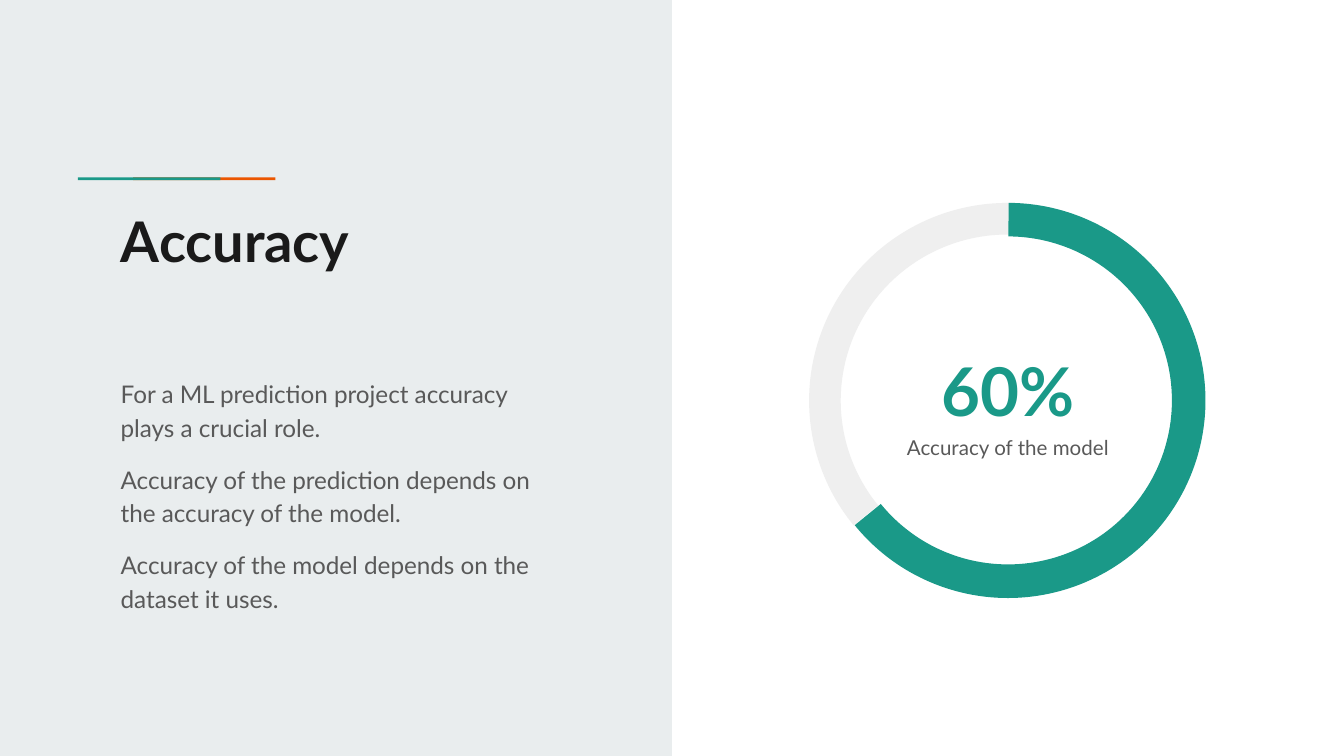
import pptx
import pptx.util
import pptx.dml.color
import pptx.enum.shapes
import pptx.enum.text

RGBColor = pptx.dml.color.RGBColor
MSO_SHAPE = pptx.enum.shapes.MSO_SHAPE
PP_ALIGN = pptx.enum.text.PP_ALIGN

PANEL_GREY = RGBColor(0xE9, 0xED, 0xEE)
TRACK_GREY = RGBColor(0xEF, 0xEF, 0xEF)
TEAL = RGBColor(0x1A, 0x99, 0x88)
ORANGE = RGBColor(0xEB, 0x56, 0x00)
INK = RGBColor(0x1A, 0x1A, 0x1A)
TEXT_GREY = RGBColor(0x59, 0x59, 0x59)

FONT = "Lato"
WIDTH = 10
HEIGHT = WIDTH * 9 / 16
MARGIN = 0.8
RING_LEFT, RING_TOP, RING_SIZE = 6.03, 1.51, 2.94
ACCENT_LEFT, ACCENT_STEP, ACCENT_WIDTH = 0.58, 0.41, 1.06

POINTS = [
    "For a ML prediction project accuracy plays a crucial role.",
    "Accuracy of the prediction depends on the accuracy of the model.",
    "Accuracy of the model depends on the dataset it uses.",
]


def inches(*lengths):
    return [pptx.util.Inches(length) for length in lengths]


def add_block(slide, kind, box, color):
    block = slide.shapes.add_shape(kind, *inches(*box))
    block.shadow.inherit = False
    block.fill.solid()
    block.fill.fore_color.rgb = color
    block.line.fill.background()
    return block


def add_arc(slide, box, color, adjustments, rotation=0):
    arc = add_block(slide, MSO_SHAPE.BLOCK_ARC, box, color)
    arc.rotation = rotation
    for index, value in enumerate(adjustments):
        arc.adjustments[index] = value


def write_text(holder, paragraphs, *, size, color, bold=False,
               align=PP_ALIGN.LEFT, line_spacing=1.15, gap=0):
    frame = holder.text_frame
    frame.word_wrap = True
    frame.auto_size = pptx.enum.text.MSO_AUTO_SIZE.NONE
    frame.vertical_anchor = pptx.enum.text.MSO_ANCHOR.TOP
    frame.margin_left = frame.margin_right = pptx.util.Inches(0.1)
    frame.margin_top = frame.margin_bottom = pptx.util.Inches(0.1)
    frame.text = "\n".join(paragraphs)
    for index, paragraph in enumerate(frame.paragraphs):
        paragraph.alignment = align
        paragraph.line_spacing = line_spacing
        paragraph.space_before = pptx.util.Pt(gap if index else 0)
        paragraph.font.name = FONT
        paragraph.font.size = pptx.util.Pt(size)
        paragraph.font.bold = bold
        paragraph.font.color.rgb = color


def add_text(slide, box, paragraphs, **text_format):
    write_text(slide.shapes.add_textbox(*inches(*box)), paragraphs, **text_format)


def set_title(slide, box, text, **text_format):
    title = slide.shapes.title
    title.left, title.top, title.width, title.height = inches(*box)
    write_text(title, [text], **text_format)


def add_accent(slide):
    for step, color in ((1, ORANGE), (0, TEAL)):
        left = ACCENT_LEFT + step * ACCENT_STEP
        add_block(slide, MSO_SHAPE.RECTANGLE,
                  (left, 1.32, ACCENT_WIDTH, 0.02), color)


def add_ring(slide):
    track = (RING_LEFT - 0.01, RING_TOP, RING_SIZE + 0.01, RING_SIZE)
    progress = (RING_LEFT, RING_TOP, RING_SIZE, RING_SIZE)
    add_arc(slide, track, TRACK_GREY, (194.67, 58.81, 0.08), rotation=176.5)
    add_arc(slide, progress, TEAL, (162.11, 84.5, 8.5 / 100))


def main():
    deck = pptx.Presentation()
    deck.slide_width, deck.slide_height = inches(WIDTH, HEIGHT)
    slide = deck.slides.add_slide(deck.slide_layouts.get_by_name("Title Only"))

    add_block(slide, MSO_SHAPE.RECTANGLE, (0, 0, WIDTH / 2, HEIGHT), PANEL_GREY)
    add_accent(slide)
    add_ring(slide)

    slide.shapes._spTree.append(slide.shapes.title._element)
    set_title(slide, (MARGIN, 1.44, 3.61, 1.85), "Accuracy",
              size=30, color=INK, bold=True, line_spacing=1)
    add_text(slide, (MARGIN, 2.69, 3.36, 2.03), POINTS,
             size=13, color=TEXT_GREY, gap=10)
    add_text(slide, (6.6, 2.41, 1.8, 0.7), ["60%"],
             size=36, color=TEAL, bold=True, align=PP_ALIGN.CENTER)
    add_text(slide, (6.43, 3.11, 2.14, 0.83), ["Accuracy of the model"],
             size=11, color=TEXT_GREY, align=PP_ALIGN.CENTER)
    deck.save("out.pptx")


if __name__ == "__main__":
    main()
